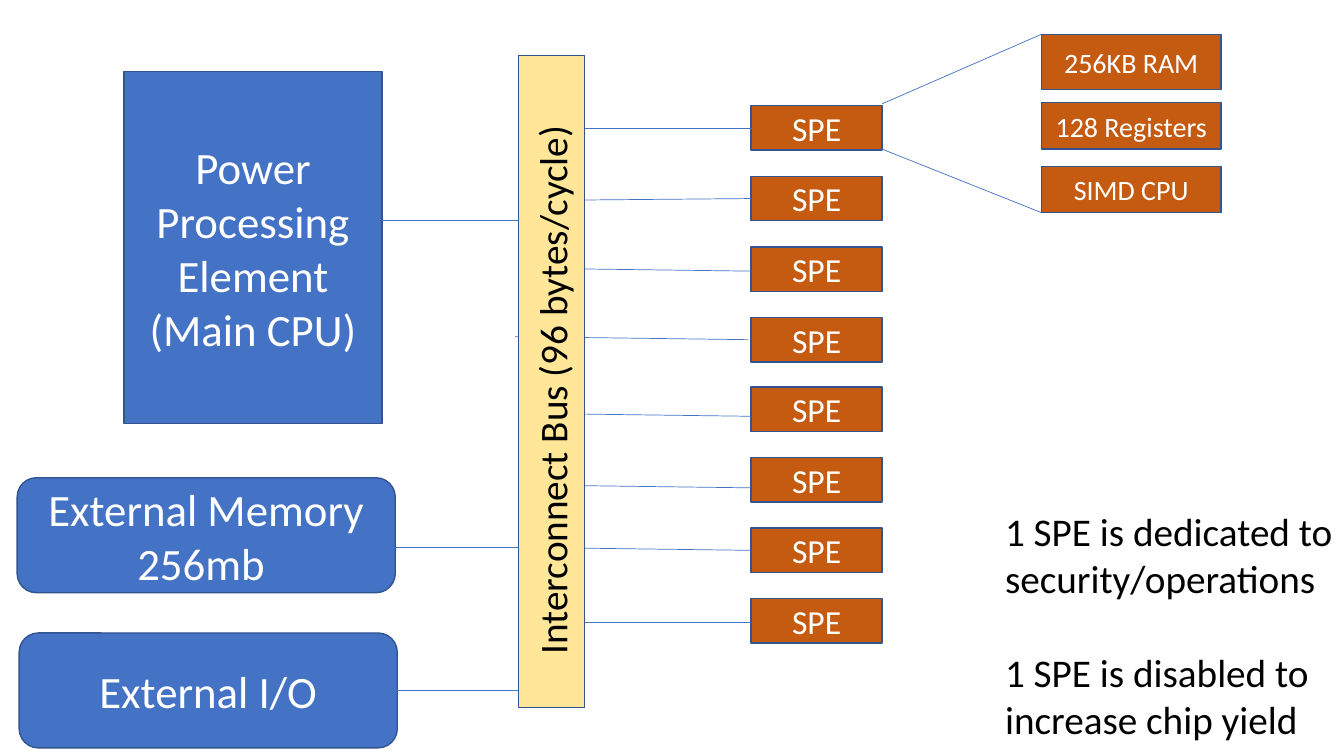
import pptx
import pptx.util
import pptx.dml.color
import pptx.enum.shapes
import pptx.enum.text
import pptx.oxml.ns
import lxml.etree
from dataclasses import dataclass

Inches = pptx.util.Inches
Pt = pptx.util.Pt
Color = pptx.dml.color.RGBColor.from_string
Kind = pptx.enum.shapes.MSO_SHAPE
Align = pptx.enum.text.PP_ALIGN


@dataclass
class Theme:
    font: str = "Calibri"
    blue: str = "4472C4"
    edge: str = "325491"
    rust: str = "C55A11"
    sand: str = "FFE699"
    white: str = "FFFFFF"
    black: str = "000000"
    big: int = 32
    note: int = 28
    unit: int = 24
    small: int = 20


theme = Theme()
deck = pptx.Presentation()
deck.slide_width = Inches(13.33)
deck.slide_height = Inches(7.5)
slide = deck.slides.add_slide(deck.slide_layouts[6])
shapes = slide.shapes


def write(frame, texts, size, color, align):
    for i, text in enumerate(texts):
        para = frame.paragraphs[0] if i == 0 else frame.add_paragraph()
        para.alignment = align
        for j, line in enumerate(text.split("\n")):
            if j:
                para.add_line_break()
            run = para.add_run()
            run.text = line
            run.font.name = theme.font
            run.font.size = Pt(size)
            run.font.color.rgb = Color(color)


def block(kind, left, top, width, height, fill, texts, size):
    box = shapes.add_shape(kind, Inches(left), Inches(top), Inches(width), Inches(height))
    box.shadow.inherit = False
    box.fill.solid()
    box.fill.fore_color.rgb = Color(fill)
    box.line.color.rgb = Color(theme.edge)
    box.line.width = Pt(1)
    box.text_frame.vertical_anchor = pptx.enum.text.MSO_ANCHOR.MIDDLE
    write(box.text_frame, texts, size, theme.white, Align.CENTER)


for start in (1.05, 3.84):
    for row in range(4):
        block(Kind.RECTANGLE, 7.45, start + row * 0.7, 1.3, 0.44, theme.rust, ["SPE"], theme.unit)

block(Kind.RECTANGLE, 1.23, 0.71, 2.56, 3.49, theme.blue,
      ["Power\nProcessing\nElement", "(Main CPU)"], theme.big)
block(Kind.ROUNDED_RECTANGLE, 0.17, 4.74, 3.75, 1.14, theme.blue,
      ["External Memory\n256mb "], theme.big)
block(Kind.ROUNDED_RECTANGLE, 0.19, 6.28, 3.75, 1.14, theme.blue,
      ["External I/O"], theme.big)

links = [
    (3.79, 2.19, 5.78, 2.19),
    (3.79, 5.43, 5.78, 5.43),
    (3.92, 6.85, 5.78, 6.85),
    (5.14, 1.27, 7.46, 1.27),
    (5.14, 1.99, 7.45, 1.97),
    (5.14, 2.66, 7.45, 2.69),
    (5.11, 3.34, 7.42, 3.37),
    (5.14, 4.1, 7.46, 4.13),
    (5.14, 4.81, 7.45, 4.84),
    (5.14, 5.43, 7.45, 5.46),
    (5.14, 6.17, 7.45, 6.17),
    (8.75, 1.03, 10.33, 0.34),
    (8.75, 1.48, 10.33, 2.11),
]
for ends in links:
    link = shapes.add_connector(pptx.enum.shapes.MSO_CONNECTOR.STRAIGHT, *map(Inches, ends))
    link.line.color.rgb = Color(theme.blue)
    link.line.width = Pt(0.5)
    lxml.etree.SubElement(link._element.spPr, pptx.oxml.ns.qn("a:effectLst"))

block(Kind.RECTANGLE, 5.14, 0.55, 0.66, 6.47, theme.sand, [], theme.note)

label = shapes.add_textbox(Inches(2.72), Inches(3.55), Inches(5.51), Inches(0.57))
label.rotation = 270
label.text_frame.word_wrap = False
write(label.text_frame, ["Interconnect Bus (96 bytes/cycle)"], theme.note, theme.black, Align.LEFT)

notes = shapes.add_textbox(Inches(9.87), Inches(4.98), Inches(3.6), Inches(2.46))
notes.text_frame.word_wrap = True
write(notes.text_frame,
      ["1 SPE is dedicated to security/operations", "1 SPE is disabled to increase chip yield"],
      theme.note, theme.black, Align.LEFT)
notes.text_frame.paragraphs[1].space_before = Pt(34)

for box in (label, notes):
    box.text_frame.auto_size = pptx.enum.text.MSO_AUTO_SIZE.SHAPE_TO_FIT_TEXT

details = [("256KB RAM", 0.34, 0.55), ("128 Registers", 1.02, 0.46), ("SIMD CPU", 1.65, 0.46)]
for name, top, height in details:
    block(Kind.RECTANGLE, 10.33, top, 1.78, height, theme.rust, [name], theme.small)

deck.save("out.pptx")
